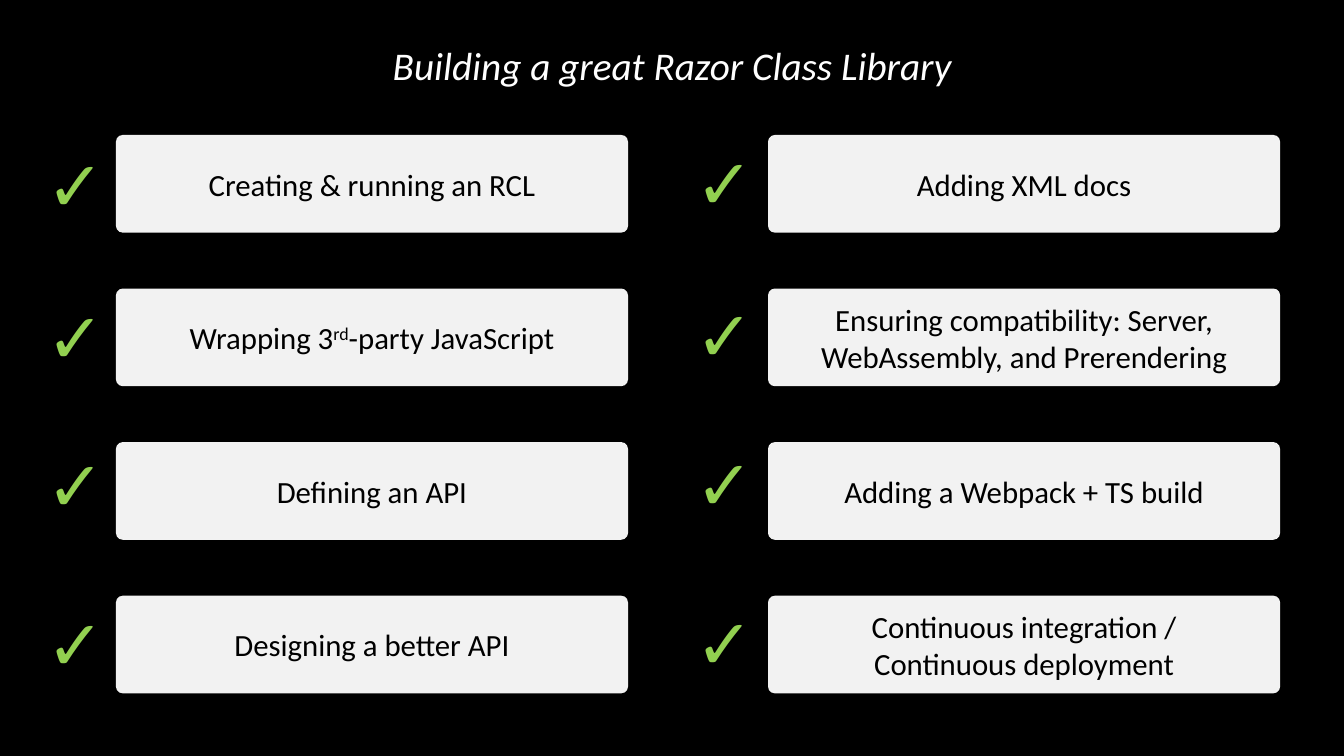
from pptx import Presentation
from pptx.dml.color import RGBColor
from pptx.enum.shapes import MSO_SHAPE
from pptx.enum.text import MSO_ANCHOR, MSO_AUTO_SIZE, PP_ALIGN
from pptx.util import Pt

BLACK = RGBColor(0x00, 0x00, 0x00)
WHITE = RGBColor(0xFF, 0xFF, 0xFF)
PALE_GREY = RGBColor(0xF2, 0xF2, 0xF2)
GREEN = RGBColor(0x92, 0xD0, 0x50)

ROUNDED = MSO_SHAPE.ROUNDED_RECTANGLE
MIDDLE = MSO_ANCHOR.MIDDLE
GROW = MSO_AUTO_SIZE.SHAPE_TO_FIT_TEXT
CENTER = PP_ALIGN.CENTER
LEFT = PP_ALIGN.LEFT

SLIDE_WIDTH, SLIDE_HEIGHT = 960, 540
TOPIC_TOP, TOPIC_PITCH = 96.4, 109.7
TICK_TOPS = (97.2, 205.9, 311.8, 425.5)

COLUMNS = (
    (82.8, 25.9, 0, (
        ("Creating & running an RCL",),
        ("Wrapping 3", "rd", "-party JavaScript"),
        ("Defining an API",),
        ("Designing a better API",),
    )),
    (548.6, 489.6, -1, (
        ("Adding XML docs",),
        ("Ensuring compatibility: Server, WebAssembly, and Prerendering",),
        ("Adding a Webpack + TS build",),
        ("Continuous integration /\vContinuous deployment",),
    )),
)


class ChecklistSlide:
    """Draws the title, topic boxes and ticks in one shared style."""

    font_name = "Calibri"

    def __init__(self, slide):
        self.slide = slide
        fill = slide.background.fill
        fill.solid()
        fill.fore_color.rgb = BLACK

    def style(self, paragraph, size, color, align, bold=False, italic=False):
        paragraph.alignment = align
        for run in paragraph.runs:
            font = run.font
            font.name = self.font_name
            font.size = Pt(size)
            font.color.rgb = color
            font.bold = bold
            font.italic = italic

    def topic(self, left, top, parts):
        box = self.slide.shapes.add_shape(
            ROUNDED, Pt(left), Pt(top), Pt(365.8), Pt(69.8))
        box.adjustments[0] = 0.07
        box.shadow.inherit = False
        box.fill.solid()
        box.fill.fore_color.rgb = PALE_GREY
        box.line.fill.background()
        frame = box.text_frame
        frame.word_wrap = True
        frame.vertical_anchor = MIDDLE
        wording = frame.paragraphs[0]
        wording.text = parts[0]
        for index, part in enumerate(parts[1:]):
            run = wording.add_run()
            run.text = part
            if index == 0:
                run.font._element.set("baseline", "30000")
        self.style(wording, 22, BLACK, CENTER)

    def label(self, left, top, width, height, text, wrap, **look):
        box = self.slide.shapes.add_textbox(
            Pt(left), Pt(top), Pt(width), Pt(height))
        frame = box.text_frame
        frame.word_wrap = wrap
        frame.auto_size = GROW
        frame.text = text
        self.style(frame.paragraphs[0], **look)

    def tick(self, left, top):
        self.label(left, top, 52.6, 67.7, "✓", False,
                   size=50, color=GREEN, align=LEFT, bold=True)

    def title(self, text):
        self.label(0, 25.9, SLIDE_WIDTH, 41, text, True,
                   size=28, color=WHITE, align=CENTER, italic=True)


def main():
    deck = Presentation()
    deck.slide_width = Pt(SLIDE_WIDTH)
    deck.slide_height = Pt(SLIDE_HEIGHT)
    checklist = ChecklistSlide(deck.slides.add_slide(deck.slide_layouts[6]))

    for topic_left, tick_left, tick_shift, topics in COLUMNS:
        for row, (parts, tick_top) in enumerate(zip(topics, TICK_TOPS)):
            checklist.topic(topic_left, TOPIC_TOP + row * TOPIC_PITCH, parts)
            checklist.tick(tick_left, tick_top + tick_shift)
    checklist.title("Building a great Razor Class Library")

    deck.save("out.pptx")


if __name__ == "__main__":
    main()
